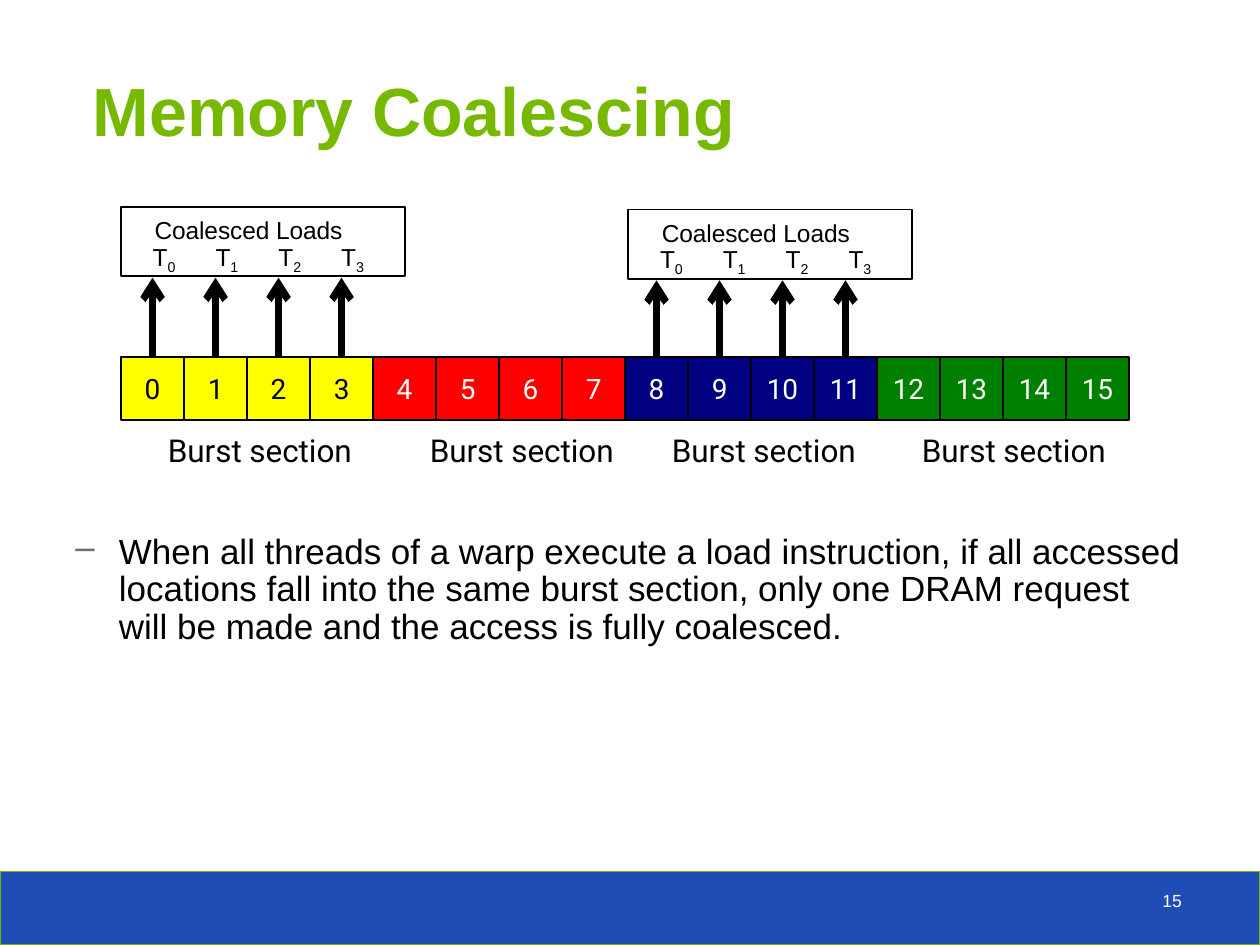
from lxml import etree
from pptx import Presentation
from pptx.dml.color import RGBColor
from pptx.enum.shapes import MSO_CONNECTOR, MSO_SHAPE
from pptx.enum.text import MSO_ANCHOR as ANCHOR, MSO_AUTO_SIZE as AUTO, PP_ALIGN as ALIGN
from pptx.oxml.ns import qn
from pptx.util import Cm, Pt

COLORS = {
    "title": "76B900", "black": "000000", "white": "FFFFFF",
    "bar": "204DB5", "bar_line": "72B400", "bullet": "6F6F6F",
    "yellow": "FFFF00", "red": "FF0000", "navy": "000080", "green": "008000",
}
TITLE = {"name": "Arial", "size": Pt(29.2), "bold": True}
BODY = {"name": "Arial", "size": Pt(15)}
NUMBER = {"name": "Arial", "size": Pt(7.5)}
LOADS = {"name": "Arial", "size": Pt(10.5)}
CELL = {"name": "Roboto", "size": Pt(12)}
BURST = {"name": "Roboto", "size": Pt(13.5)}
SECTIONS = [("yellow", "black", 0.46), ("red", "white", 4.42),
            ("navy", "white", 8.08), ("green", "white", 11.86)]
THREADS = 4


def rgb(color):
    return RGBColor.from_string(COLORS[color])


def set_all(target, values):
    for name, value in values.items():
        setattr(target, name, value)


def add_run(p, text, font, color="black"):
    r = p.add_run()
    r.text = text
    set_all(r.font, font)
    r.font.color.rgb = rgb(color)
    return r


def add_text(s, box, text, font, color="black", align=ALIGN.LEFT, wrap=False):
    tf = s.shapes.add_textbox(*map(Cm, box)).text_frame
    tf.word_wrap = wrap
    p = tf.paragraphs[0]
    p.alignment = align
    add_run(p, text, font, color)
    return p


def add_rect(s, box, fill=None, line="black"):
    sp = s.shapes.add_shape(MSO_SHAPE.RECTANGLE, *map(Cm, box))
    sp.shadow.inherit = False
    if fill:
        sp.fill.solid()
        sp.fill.fore_color.rgb = rgb(fill)
    else:
        sp.fill.background()
    sp.line.color.rgb = rgb(line)
    sp.line.width = Pt(0.75)
    return sp


def add_title(s, box, text):
    sp = s.shapes.title
    set_all(sp, dict(zip(("left", "top", "width", "height"), map(Cm, box))))
    tf = sp.text_frame
    set_all(tf, {"margin_left": Cm(0.54), "margin_top": Cm(0.22), "margin_bottom": 0,
                 "vertical_anchor": ANCHOR.TOP, "auto_size": AUTO.NONE, "word_wrap": True})
    p = tf.paragraphs[0]
    p.alignment = ALIGN.LEFT
    add_run(p, text, TITLE, "title")


def add_footer(s, box, number):
    x, y, w, h = box
    add_rect(s, box, "bar", "bar_line")
    add_text(s, (x + w - 5.38, y + 0.15, 4.45, 0.64), number, NUMBER, "white", ALIGN.RIGHT, True)


def add_body(s, box, text):
    p = add_text(s, box, text, BODY, wrap=True)
    set_all(p, {"line_spacing": 0.9, "space_after": Pt(1.9)})
    pPr = p._p.get_or_add_pPr()
    pPr.set("marL", str(Cm(0.66)))
    pPr.set("indent", str(Cm(-0.66)))
    color = etree.SubElement(pPr, qn("a:buClr"))
    etree.SubElement(color, qn("a:srgbClr"), val=COLORS["bullet"])
    etree.SubElement(pPr, qn("a:buChar"), char="–")


def add_memory(s, box):
    x, y, w, h = box
    step = w / (len(SECTIONS) * THREADS)
    cells = []
    for fill, color, label_x in SECTIONS:
        for _ in range(THREADS):
            i = len(cells)
            cell = add_rect(s, (x + i * step, y, step, h), fill)
            tf = cell.text_frame
            set_all(tf, {"word_wrap": False, "vertical_anchor": ANCHOR.MIDDLE})
            p = tf.paragraphs[0]
            p.alignment = ALIGN.CENTER
            add_run(p, str(i), CELL, color)
            cells.append(cell)
        add_text(s, (x + label_x, y + h + 0.04, 3.45, 0.84), "Burst section", BURST)
    return cells


def add_arrow(s, cell, end_y):
    x = cell.left + cell.width // 2
    c = s.shapes.add_connector(MSO_CONNECTOR.STRAIGHT, x, cell.top, x, end_y)
    c.begin_connect(cell, 0)
    c.line.color.rgb = rgb("black")
    c.line.width = Pt(3)
    spPr = c.element.spPr
    etree.SubElement(spPr.find(qn("a:ln")), qn("a:tailEnd"), type="arrow")
    etree.SubElement(spPr, qn("a:effectLst"))


def add_loads(s, box, cells):
    x, y, w, h = box
    add_rect(s, box)
    add_text(s, (x + 0.23, y, 3.4, 0.71), "Coalesced Loads", LOADS, align=ALIGN.CENTER)
    for i, cell in enumerate(cells):
        p = add_text(s, (x + 0.23 + i * 0.95, y + 0.4, 0.89, 0.71), "T", LOADS)
        r = add_run(p, str(i), LOADS)
        r.font._element.set("baseline", "-25000")
        add_arrow(s, cell, Cm(y + h + 0.02))


def main():
    prs = Presentation()
    prs.slide_width, prs.slide_height = Cm(19.05), Cm(14.29)
    s = prs.slides.add_slide(prs.slide_layouts[5])
    add_footer(s, (0, 13.18, 19.05, 1.11), "15")
    add_title(s, (0.86, 0.81, 17.32, 1.22), "Memory Coalescing")
    add_body(s, (0.89, 7.95, 17.27, 5.2),
             "When all threads of a warp execute a load instruction, if all accessed locations "
             "fall into the same burst section, only one DRAM request will be made and the "
             "access is fully coalesced.")
    cells = add_memory(s, (1.83, 5.4, 15.24, 0.95))
    add_loads(s, (1.83, 3.13, 4.29, 1.05), cells[:THREADS])
    add_loads(s, (9.5, 3.17, 4.29, 1.05), cells[2 * THREADS:3 * THREADS])
    prs.save("out.pptx")


if __name__ == "__main__":
    main()
